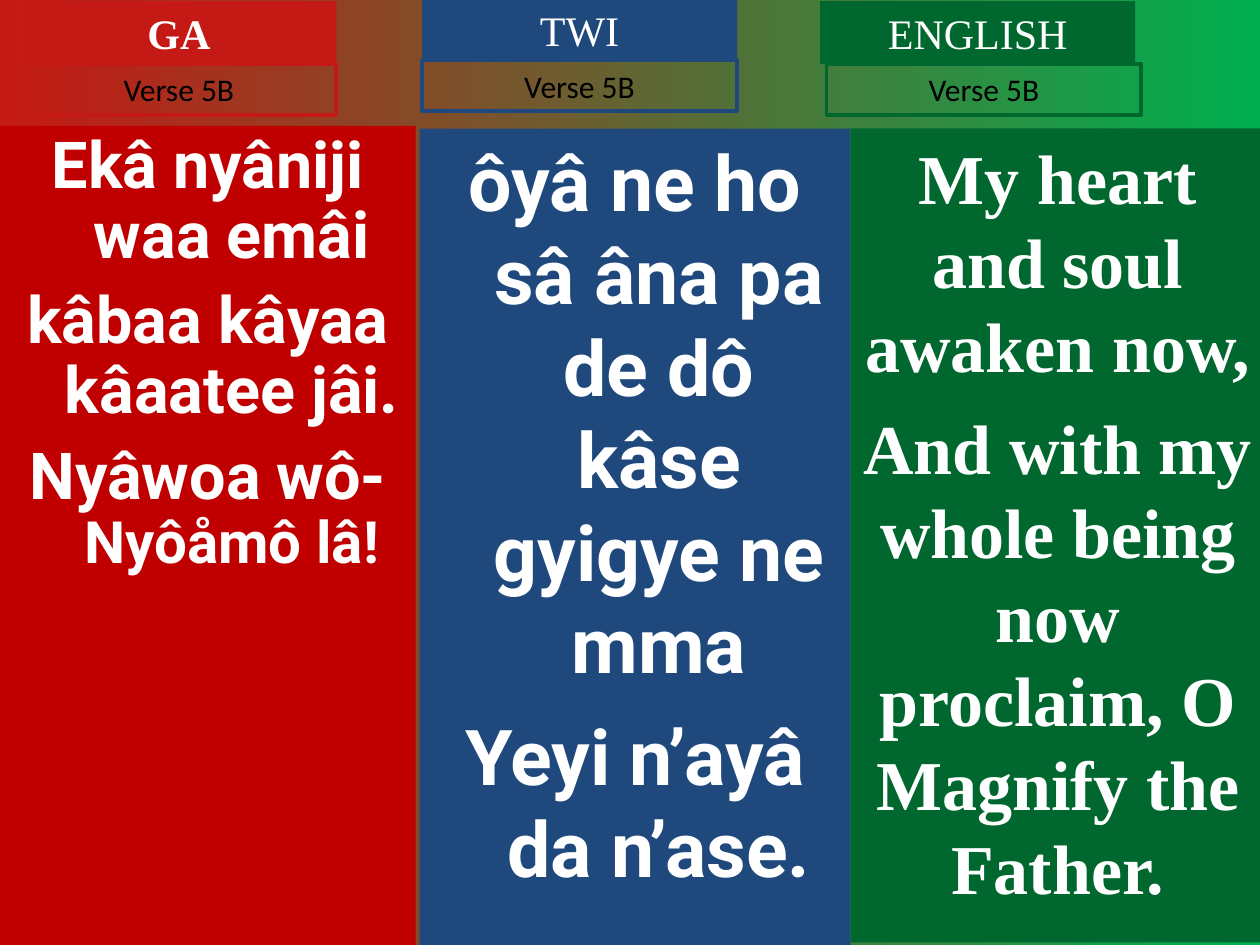
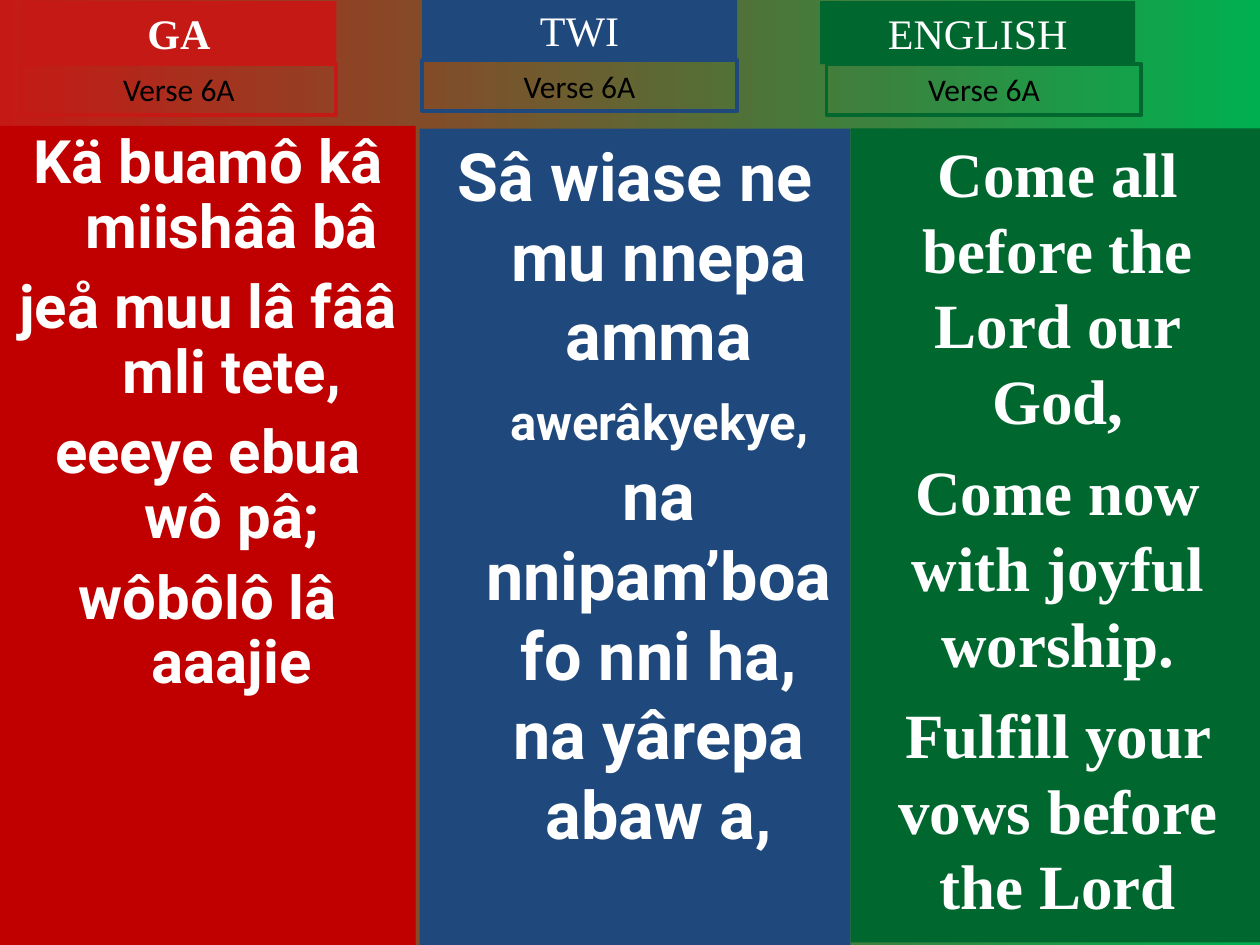
from pptx import Presentation
from pptx import util as u
from pptx.dml.color import RGBColor
from pptx.enum import shapes, text

COLOURS = {
    "red": "C00000", "bright red": "C51915", "blue": "1F497D", "green": "00682F",
    "bright green": "00B050", "white": "FFFFFF", "black": "000000",
}

# Each column: panel, heading and verse boxes as (left, top, width, height) in inches
HEAD_SIZE, VERSE_SIZE = (2.5, 0.5), (2.5, 0.4)
COLUMNS = [
    {"language": "GA", "bold": True, "panel_colour": "red", "colour": "bright red",
     "panel": (0, 1, 3.3, 6.5), "heading": (0.17, 0.01), "verse": (0.17, 0.51),
     "font": "Roboto", "hanging": 0.38, "spacing": 0.9},
    {"language": "TWI", "bold": False, "panel_colour": "blue", "colour": "blue",
     "panel": (3.33, 1.02, 3.42, 6.48), "heading": (3.35, -0.01), "verse": (3.35, 0.48),
     "font": "Roboto", "hanging": 0.38, "spacing": None},
    {"language": "ENGLISH", "bold": False, "panel_colour": "green", "colour": "green",
     "panel": (6.75, 1.02, 3.29, 6.46), "heading": (6.51, 0.01), "verse": (6.56, 0.51),
     "font": "Times New Roman", "hanging": 0, "spacing": None},
]

# Each verse: one (size, paragraphs) per column; a paragraph is a list of runs,
# and a run is a string, or (string, size) where its size differs
VERSES = [
    ("Verse 5B", [
        (37, [["Ekâ nyâniji waa emâi"],
              ["kâbaa kâyaa kâaatee jâi."],
              ["Nyâwoa wô-", ("Nyôåmô lâ!", 33.3)]]),
        (44, [["ôyâ ne ho sâ âna pa de dô kâse gyigye ne mma"],
              ["Yeyi n’ayâ da n’ase."]]),
        (40, [["My heart and soul awaken now,"],
              ["And with my whole being now proclaim, O Magnify the Father."]]),
    ]),
    ("Verse 6A", [
        (34.2, [["Kä buamô kâ miishââ bâ"],
                ["jeå muu lâ fââ mli tete,"],
                ["eeeye ebua wô pâ;"],
                ["wôbôlô lâ aaajie"]]),
        (38, [["Sâ wiase ne mu nnepa amma ", ("awerâkyekye,", 28),
               " na nnipam’boafo nni ha, na yârepa abaw a,"]]),
        (36, [["Come all before the Lord our God,"],
              ["Come now with joyful worship."],
              ["Fulfill your vows before the Lord"]]),
    ]),
]


def rgb(name):
    return RGBColor.from_string(COLOURS[name])


def add_box(slide, place, fill=None, line=None, grow=False):
    """Add a plain rectangle with wrapped text that starts at its top."""
    shape = slide.shapes.add_shape(shapes.MSO_SHAPE.RECTANGLE, *map(u.Inches, place))
    shape.shadow.inherit = False
    if fill:
        shape.fill.solid()
        shape.fill.fore_color.rgb = rgb(fill)
    else:
        shape.fill.background()
    if line:
        shape.line.color.rgb = rgb(line)
        shape.line.width = u.Pt(2.25)
    else:
        shape.line.fill.background()
    fit = text.MSO_AUTO_SIZE
    frame_format = {
        "word_wrap": True, "vertical_anchor": text.MSO_ANCHOR.TOP,
        "auto_size": fit.SHAPE_TO_FIT_TEXT if grow else fit.NONE,
    }
    for name, value in frame_format.items():
        setattr(shape.text_frame, name, value)
    return shape.text_frame


def add_run(paragraph, words, colour, **font_format):
    run = paragraph.add_run()
    run.text = words
    run.font.color.rgb = rgb(colour)
    for name, value in font_format.items():
        setattr(run.font, name, value)


def write_label(frame, words, colour, **font_format):
    paragraph = frame.paragraphs[0]
    paragraph.alignment = text.PP_ALIGN.CENTER
    add_run(paragraph, words, colour, **font_format)


def write_lyrics(frame, column, size, paragraphs):
    for index, runs in enumerate(paragraphs):
        paragraph = frame.add_paragraph() if index else frame.paragraphs[0]
        paragraph.alignment = text.PP_ALIGN.CENTER
        if index:
            paragraph.space_before = u.Pt(round(size / 4))
        if column["spacing"]:
            paragraph.line_spacing = column["spacing"]
        if column["hanging"]:
            indent = u.Inches(column["hanging"])
            properties = paragraph._p.get_or_add_pPr()
            properties.set("marL", str(indent))
            properties.set("indent", str(-indent))
        for run in runs:
            words, run_size = (run, size) if isinstance(run, str) else run
            add_run(paragraph, words, "white", name=column["font"],
                    size=u.Pt(run_size), bold=True)


def add_column(slide, column, verse, size, paragraphs):
    panel = add_box(slide, column["panel"], fill=column["panel_colour"])
    write_lyrics(panel, column, size, paragraphs)
    heading = add_box(slide, column["heading"] + HEAD_SIZE, fill=column["colour"], grow=True)
    write_label(heading, column["language"], "white", name="Times New Roman",
                size=u.Pt(24), bold=column["bold"])
    label = add_box(slide, column["verse"] + VERSE_SIZE, line=column["colour"], grow=True)
    write_label(label, verse, "black", name="Calibri", size=u.Pt(18))


def main():
    presentation = Presentation()
    presentation.slide_width, presentation.slide_height = u.Inches(10), u.Inches(7.5)

    # Shared background: red to green, left to right
    background = presentation.slide_master.background.fill
    background.gradient()
    background.gradient_angle = 0
    for stop, position, colour in zip(background.gradient_stops, (0, 1),
                                      ("bright red", "bright green")):
        stop.position = position
        stop.color.rgb = rgb(colour)

    # One slide per verse, one column per language
    blank = presentation.slide_layouts[6]
    for verse, lyrics in VERSES:
        slide = presentation.slides.add_slide(blank)
        for column, (size, paragraphs) in zip(COLUMNS, lyrics):
            add_column(slide, column, verse, size, paragraphs)

    presentation.save("out.pptx")


if __name__ == "__main__":
    main()
